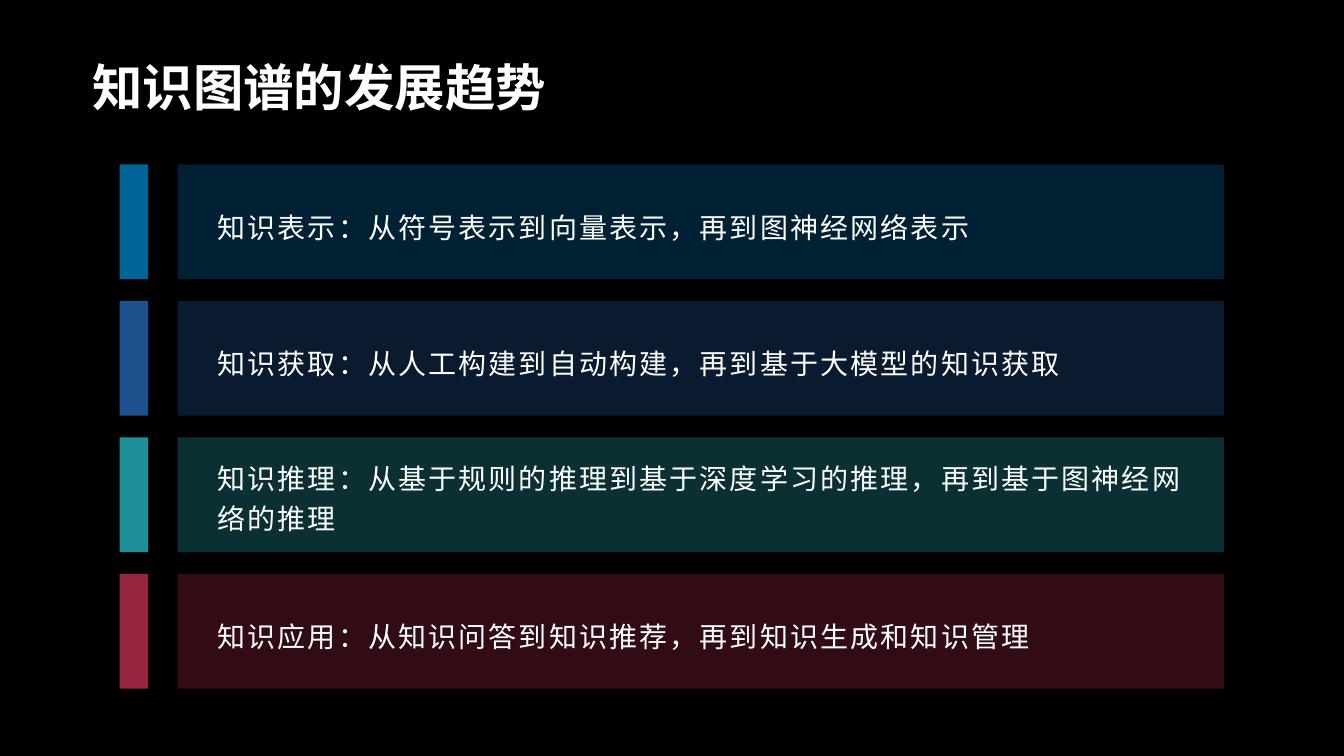
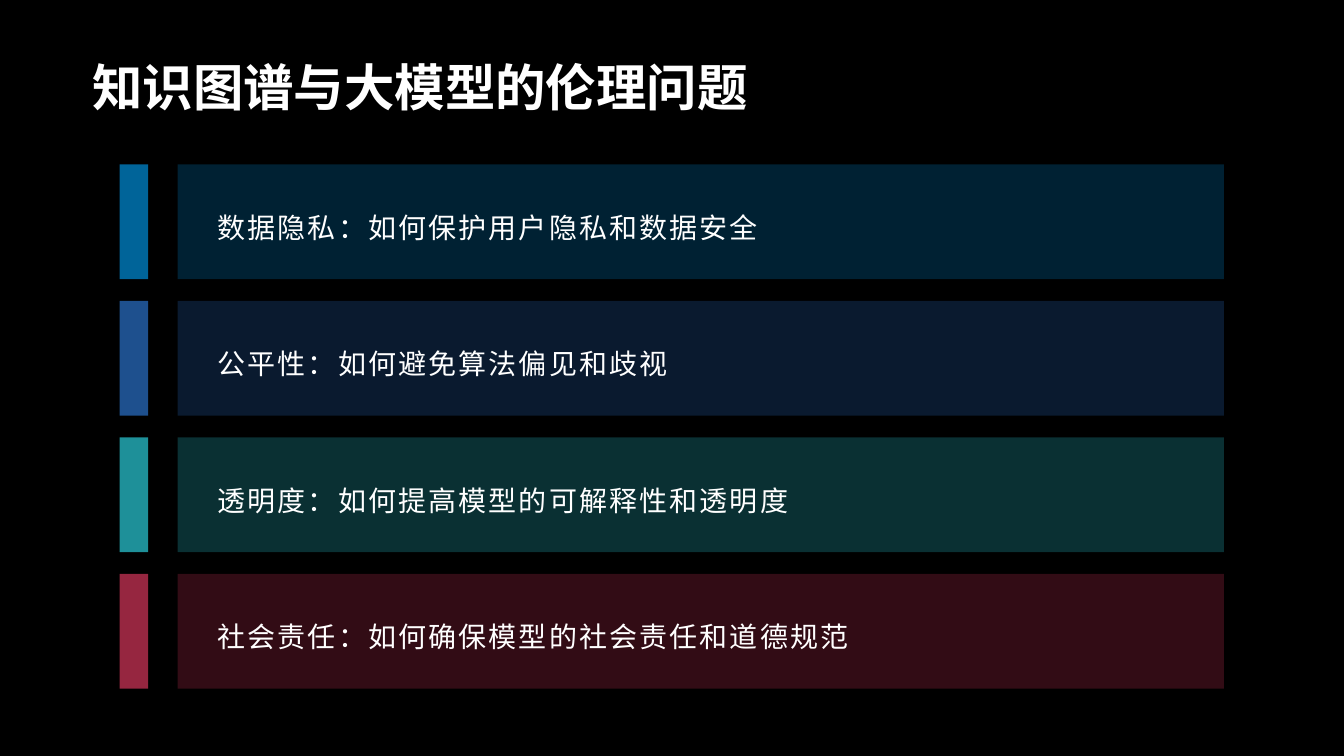
import dataclasses

import lxml.etree
import pptx
import pptx.dml.color
import pptx.enum.shapes
import pptx.enum.text
import pptx.oxml.ns
import pptx.util

Pt = pptx.util.Pt
qn = pptx.oxml.ns.qn


@dataclasses.dataclass(frozen=True)
class Theme:
    background: str = "000000"
    text: str = "FFFFFF"
    accents: tuple = ("00A7FF", "3386ED", "33F0FF", "FA406C")
    panel_alpha: int = 20
    marker_alpha: int = 60
    title_font: str = "Arial"
    body_font: str = "Noto Sans CJK SC"
    title_size: int = 36
    body_size: int = 20
    body_tracking: float = 1.5


class Deck:
    ROW_TOP, ROW_PITCH, ROW_HEIGHT = 117.4, 97.5, 82
    TEXT_INSET = 7.2

    def __init__(self, theme):
        self.theme = theme
        self.prs = pptx.Presentation()
        self.prs.slide_width, self.prs.slide_height = Pt(960), Pt(540)
        self.s = None

    def rgb(self, color):
        return pptx.dml.color.RGBColor.from_string(color)

    def slide(self, title):
        self.s = self.prs.slides.add_slide(self.prs.slide_layouts[6])
        fill = self.s.background.fill
        fill.solid()
        fill.fore_color.rgb = self.rgb(self.theme.background)
        self.text(title, 66, 28, 828, 68, self.theme.title_size,
                  self.theme.title_font, bold=True, margin=0)

    def rect(self, left, top, width, height, color, alpha):
        sp = self.s.shapes.add_shape(
            pptx.enum.shapes.MSO_SHAPE.RECTANGLE,
            Pt(left), Pt(top), Pt(width), Pt(height))
        sp.shadow.inherit = False
        sp.line.fill.background()
        sp.fill.solid()
        sp.fill.fore_color.rgb = self.rgb(color)
        clr = sp._element.spPr.find(".//" + qn("a:srgbClr"))
        lxml.etree.SubElement(clr, qn("a:alpha"), val=str(alpha * 1000))

    def text(self, text, left, top, width, height, size, font,
             bold=False, margin=None, spacing=None, tracking=0):
        sp = self.s.shapes.add_textbox(Pt(left), Pt(top), Pt(width), Pt(height))
        tf = sp.text_frame
        tf.word_wrap = True
        tf.vertical_anchor = pptx.enum.text.MSO_ANCHOR.MIDDLE
        if margin is not None:
            tf.margin_left = tf.margin_right = Pt(margin)
            tf.margin_top = tf.margin_bottom = Pt(margin)
        p = tf.paragraphs[0]
        p.text = text
        p.line_spacing = spacing
        p.font.size = Pt(size)
        p.font.bold = bold
        p.font.name = font
        p.font.color.rgb = self.rgb(self.theme.text)
        props = p._p.get_or_add_pPr().get_or_add_defRPr()
        props.set("spc", str(round(tracking * 100)))
        lxml.etree.SubElement(props, qn("a:ea"), typeface=self.theme.body_font)

    def row(self, index, text, spacing):
        t = self.theme
        top = self.ROW_TOP + index * self.ROW_PITCH
        color = t.accents[index]
        self.rect(126.8, top, 747.4, self.ROW_HEIGHT, color, t.panel_alpha)
        self.rect(85.4, top, 20.4, self.ROW_HEIGHT, color, t.marker_alpha)
        self.text(text, 148.3, top + self.TEXT_INSET, 715,
                  self.ROW_HEIGHT - 2 * self.TEXT_INSET, t.body_size,
                  t.body_font, spacing=spacing, tracking=t.body_tracking)


SLIDES = [
    ("知识图谱的发展趋势", [
        ("知识表示：从符号表示到向量表示，再到图神经网络表示", 1.3),
        ("知识获取：从人工构建到自动构建，再到基于大模型的知识获取", 1.3),
        ("知识推理：从基于规则的推理到基于深度学习的推理，再到基于图神经网络的推理", 1.2),
        ("知识应用：从知识问答到知识推荐，再到知识生成和知识管理", 1.3),
    ]),
    ("知识图谱与大模型的伦理问题", [
        ("数据隐私：如何保护用户隐私和数据安全", 1.3),
        ("公平性：如何避免算法偏见和歧视", 1.3),
        ("透明度：如何提高模型的可解释性和透明度", 1.3),
        ("社会责任：如何确保模型的社会责任和道德规范", 1.3),
    ]),
]


def main():
    deck = Deck(Theme())
    for title, rows in SLIDES:
        deck.slide(title)
        for index, (text, spacing) in enumerate(rows):
            deck.row(index, text, spacing)
    deck.prs.save("out.pptx")


if __name__ == "__main__":
    main()
